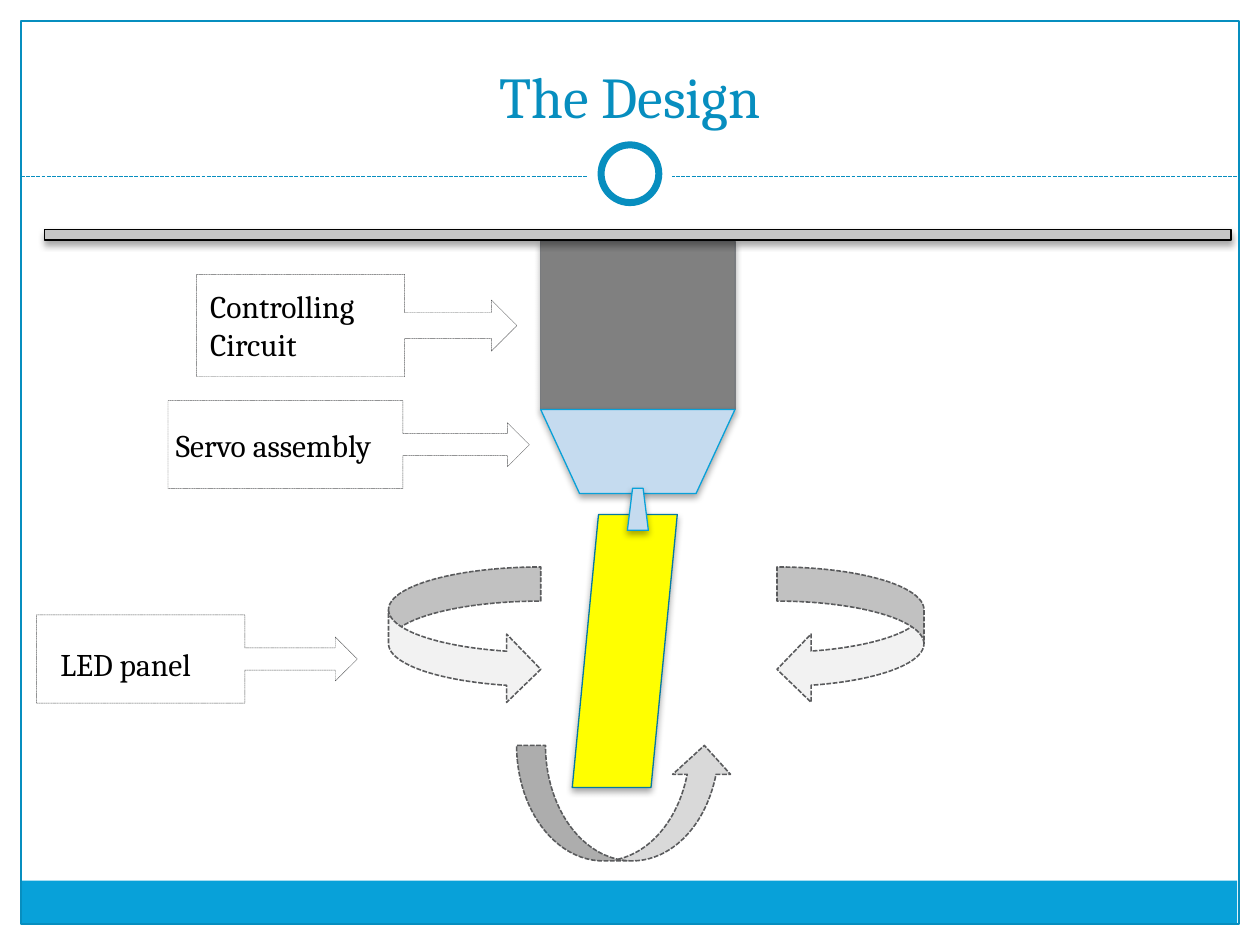
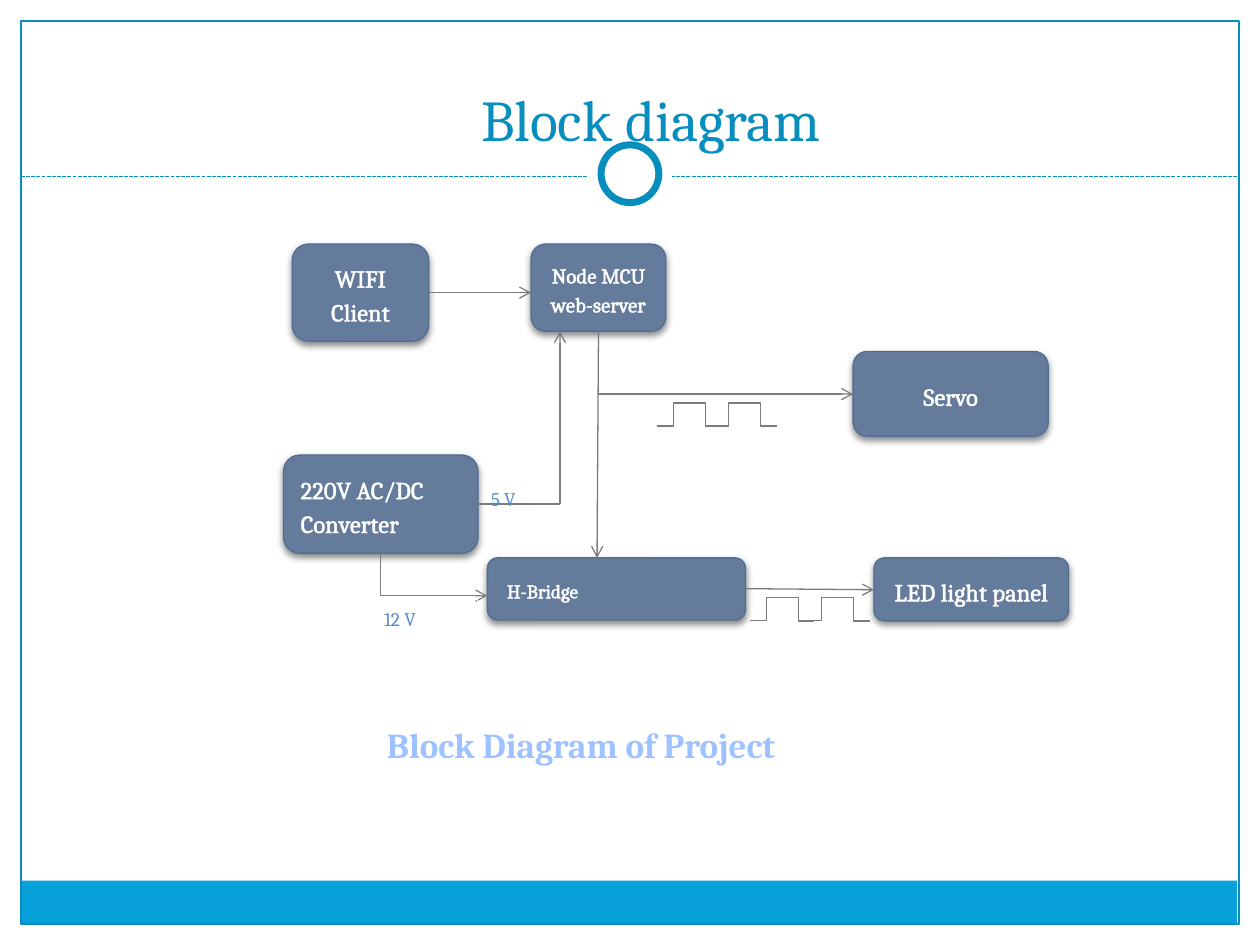
from itertools import pairwise

from lxml import etree
from pptx import Presentation
from pptx import util as u
from pptx.dml.color import RGBColor
from pptx.enum import dml, shapes, text
from pptx.oxml import parse_xml
from pptx.oxml.ns import nsdecls, qn

FONT = "Cambria"
WHITE = RGBColor(0xFF, 0xFF, 0xFF)
BLACK = RGBColor(0x00, 0x00, 0x00)
ACCENT = RGBColor(0x07, 0x8E, 0xBF)
SKY = RGBColor(0x08, 0xA1, 0xD9)
PALE_BLUE = RGBColor(0xC5, 0xDB, 0xEF)
YELLOW = RGBColor(0xFF, 0xFF, 0x00)
PANEL_EDGE = RGBColor(0x06, 0x79, 0xA3)
CIRCUIT_GREY = RGBColor(0x80, 0x80, 0x80)
CEILING_GREY = RGBColor(0xC5, 0xC5, 0xC5)
LIGHT_GREY = RGBColor(0xF2, 0xF2, 0xF2)
MID_GREY = RGBColor(0xD9, 0xD9, 0xD9)
DASH_GREY = RGBColor(0x5A, 0x5B, 0x5D)
WIRE_GREY = RGBColor(0x79, 0x7B, 0x7E)
BLOCK_BLUE = RGBColor(0x64, 0x7B, 0x9C)
BLOCK_EDGE = RGBColor(0x50, 0x6E, 0x94)
VOLT_BLUE = RGBColor(0x54, 0x8D, 0xD4)
CAPTION_BLUE = RGBColor(0x9E, 0xC1, 0xFF)
CAPTION_EDGE = RGBColor(0x45, 0x79, 0xB8)

KIND = shapes.MSO_SHAPE
ALIGN = text.PP_ALIGN
ANCHOR = text.MSO_ANCHOR
LINK = shapes.MSO_CONNECTOR


class Deck:
    """Holds the shared style and the current slide; all lengths are points."""

    def __init__(self):
        self.presentation = Presentation()
        self.presentation.slide_width = u.Pt(720)
        self.presentation.slide_height = u.Pt(540)
        self.slide = None

    def new_slide(self, title, left, top):
        self.slide = self.presentation.slides.add_slide(self.presentation.slide_layouts[6])
        # Bottom band, frame, dashed rule and ring
        self.shape(KIND.RECTANGLE, 11.5, 503.3, 695.5, 24.5, SKY)
        self.shape(KIND.RECTANGLE, 12, 12, 696, 516, edge=ACCENT)
        self.line(LINK.STRAIGHT, (12, 100.8), (708, 100.8), ACCENT, dashed=True)
        self.shape(KIND.OVAL, 336, 75.6, 48, 48, WHITE)
        self.shape(KIND.OVAL, 343.5, 82.8, 33, 33, WHITE, ACCENT, 4)
        self.label(title, left, top, 672, 60, 33, ACCENT, ALIGN.CENTER, ANCHOR.BOTTOM)

    def shape(self, kind, left, top, width, height, fill=None, edge=None,
              weight=0.75, dashed=False, shadow=0):
        shape = self.slide.shapes.add_shape(
            kind, u.Pt(left), u.Pt(top), u.Pt(width), u.Pt(height))
        if fill is None:
            shape.fill.background()
        else:
            shape.fill.solid()
            shape.fill.fore_color.rgb = fill
        if edge is None:
            shape.line.fill.background()
        else:
            self.stroke(shape.line, edge, weight, dashed)
        shape.shadow.inherit = False
        if shadow:
            effects = shape._element.spPr.find(qn("a:effectLst"))
            effects.append(parse_xml(
                f'<a:outerShdw {nsdecls("a")} blurRad="{u.Pt(4)}" dist="{u.Pt(2)}" '
                'dir="5400000" rotWithShape="0"><a:srgbClr val="000000">'
                f'<a:alpha val="{shadow * 1000}"/></a:srgbClr></a:outerShdw>'))
        return shape

    def stroke(self, line, color, weight, dashed):
        line.color.rgb = color
        line.width = u.Pt(weight)
        if dashed:
            line.dash_style = dml.MSO_LINE.SQUARE_DOT

    def line(self, kind, start, end, color=WIRE_GREY, dashed=False, arrow=False):
        connector = self.slide.shapes.add_connector(
            kind, *(u.Pt(value) for value in (*start, *end)))
        self.stroke(connector.line, color, 0.75, dashed)
        properties = connector._element.spPr
        if arrow:
            etree.SubElement(properties.find(qn("a:ln")), qn("a:tailEnd"), type="arrow")
        etree.SubElement(properties, qn("a:effectLst"))

    def wire(self, *points):
        """Straight segments through the points, with an arrowhead at the end."""
        for start, end in pairwise(points):
            self.line(LINK.STRAIGHT, start, end, arrow=end == points[-1])

    def pulses(self, left, base):
        """Two square pulses, each an elbow up and an elbow down."""
        step, rise = 18.3, 13.2
        for x in (left, left + 31.6):
            self.line(LINK.ELBOW, (x, base), (x + step, base - rise))
            self.line(LINK.ELBOW, (x + step, base - rise), (x + 2 * step, base))

    def set_text(self, shape, words, size, color, align=ALIGN.LEFT, anchor=ANCHOR.TOP,
                 spaced=False, bold=False, outline=None):
        frame = shape.text_frame
        frame.word_wrap = True
        frame.vertical_anchor = anchor
        frame.text = words
        for paragraph in frame.paragraphs:
            paragraph.alignment = align
            font = paragraph.font
            font.name, font.size, font.bold = FONT, u.Pt(size), bold
            font.color.rgb = color
            if spaced:
                paragraph.line_spacing = 1.15
                paragraph.space_after = u.Pt(10)
            if outline:
                edge, weight = outline
                for run in paragraph.runs:
                    run._r.get_or_add_rPr().insert(0, parse_xml(
                        f'<a:ln {nsdecls("a")} w="{u.Pt(weight)}"><a:solidFill>'
                        f'<a:srgbClr val="{edge}"/></a:solidFill></a:ln>'))

    def label(self, words, left, top, width, height, size, color, *layout, **style):
        box = self.slide.shapes.add_textbox(
            u.Pt(left), u.Pt(top), u.Pt(width), u.Pt(height))
        self.set_text(box, words, size, color, *layout, **style)

    def block(self, words, left, top, width, height, size=14, align=ALIGN.CENTER):
        shape = self.shape(KIND.FLOWCHART_ALTERNATE_PROCESS, left, top, width, height,
                           BLOCK_BLUE, BLOCK_EDGE, shadow=45)
        self.set_text(shape, words, size, WHITE, align, ANCHOR.MIDDLE, spaced=True,
                      outline=(WHITE, 0.73))


def build_design(deck):
    deck.new_slide("The Design", 24, 18)
    # Lamp, from the circuit down to the nozzle, then the ceiling
    for kind, left, top, width, height, fill, edge in (
        (KIND.FLOWCHART_PROCESS, 309, 138, 111, 96, CIRCUIT_GREY, WIRE_GREY),
        (KIND.FLOWCHART_MANUAL_OPERATION, 309, 234, 111, 48, PALE_BLUE, SKY),
        (KIND.PARALLELOGRAM, 327, 294, 60, 156, YELLOW, PANEL_EDGE),
        (KIND.TRAPEZOID, 358.5, 279, 12, 24, PALE_BLUE, SKY),
        (KIND.FLOWCHART_PROCESS, 25.5, 131.2, 678, 6, CEILING_GREY, BLACK),
    ):
        deck.shape(kind, left, top, width, height, fill, edge, shadow=35)
    # Directions of rotation
    for kind, left, top, width, height, fill in (
        (KIND.CURVED_RIGHT_ARROW, 222, 324, 87, 78, LIGHT_GREY),
        (KIND.CURVED_LEFT_ARROW, 444, 324, 84, 78, LIGHT_GREY),
        (KIND.CURVED_UP_ARROW, 295.2, 426, 123.8, 66, MID_GREY),
    ):
        deck.shape(kind, left, top, width, height, fill, DASH_GREY, 0.9, dashed=True)
    # Part names: text corner, then callout box
    for words, text_at, callout in (
        ("Controlling\nCircuit", (113, 160.5), (112.4, 156.8, 183, 58.5)),
        ("Servo assembly", (93.5, 240), (96, 229, 206.5, 50.3)),
        ("LED panel", (27.4, 365.2), (20.8, 351.4, 183.4, 50.4)),
    ):
        height = 22 * (words.count("\n") + 1) + 7
        deck.label(words, *text_at, 138, height, 18, BLACK)
        deck.shape(KIND.RIGHT_ARROW_CALLOUT, *callout, edge=DASH_GREY,
                   weight=0.25, dashed=True)


def build_block_diagram(deck):
    deck.new_slide("Block diagram", 36, 31)
    # Blocks
    deck.block("WIFI Client", 167, 139.5, 78, 55.5)
    deck.block("Node MCU web-server", 303.5, 139.5, 77, 49.8, size=12)
    deck.block("Servo", 487.5, 200.8, 111.5, 48.5)
    deck.block(" H-Bridge", 278.5, 318.8, 147.5, 35.5, 11, ALIGN.LEFT)
    deck.block("LED light panel", 499.4, 318.8, 111.2, 36)
    deck.block("220V AC/DC Converter", 162, 260, 111.2, 56.2, align=ALIGN.LEFT)
    # Wires
    deck.wire((245, 167.2), (303.5, 167.2))
    deck.wire((341.5, 225.2), (487.5, 225.2))
    deck.wire((342, 189.3), (341.2, 318.8))
    deck.wire((426, 336.4), (499.4, 337))
    deck.wire((217.6, 316.2), (217.6, 340.4), (278.5, 340.4))
    deck.wire((273.4, 288), (320, 288), (320, 189.3))
    # Supply voltages
    supply = deck.shape(KIND.RECTANGLE, 212.4, 341.3, 60.5, 36.7, edge=WHITE, weight=0.5)
    deck.set_text(supply, "12 V", 11, VOLT_BLUE, spaced=True)
    deck.label("5 V", 273.4, 272.8, 60.5, 36.7, 11, VOLT_BLUE, spaced=True)
    # Control signals
    deck.pulses(375.7, 243.5)
    deck.pulses(428.7, 354.8)
    # Caption
    caption = deck.shape(KIND.RECTANGLE, 214, 406, 276.5, 56.2, WHITE)
    deck.set_text(caption, "Block Diagram of Project", 20, CAPTION_BLUE, spaced=True,
                  bold=True, outline=(CAPTION_EDGE, 0.42))


def main():
    deck = Deck()
    build_design(deck)
    build_block_diagram(deck)
    deck.presentation.save("out.pptx")


if __name__ == "__main__":
    main()
